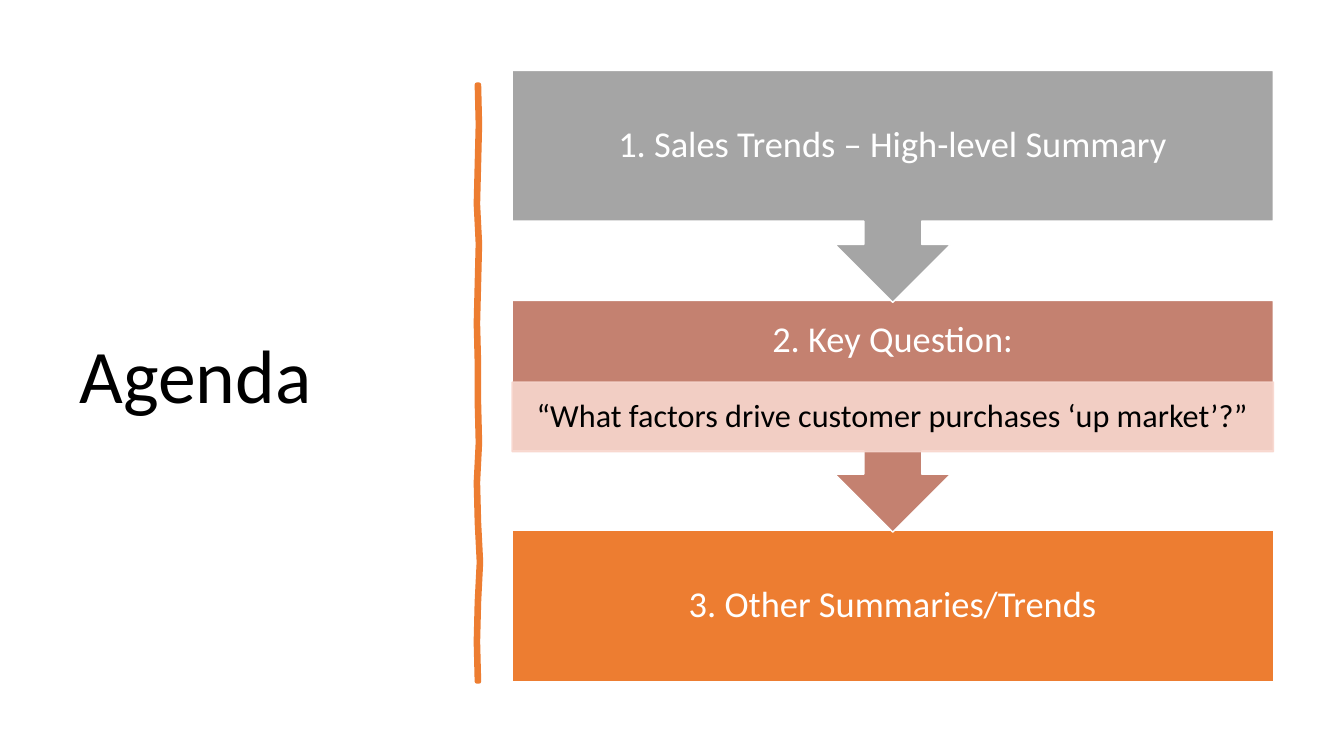
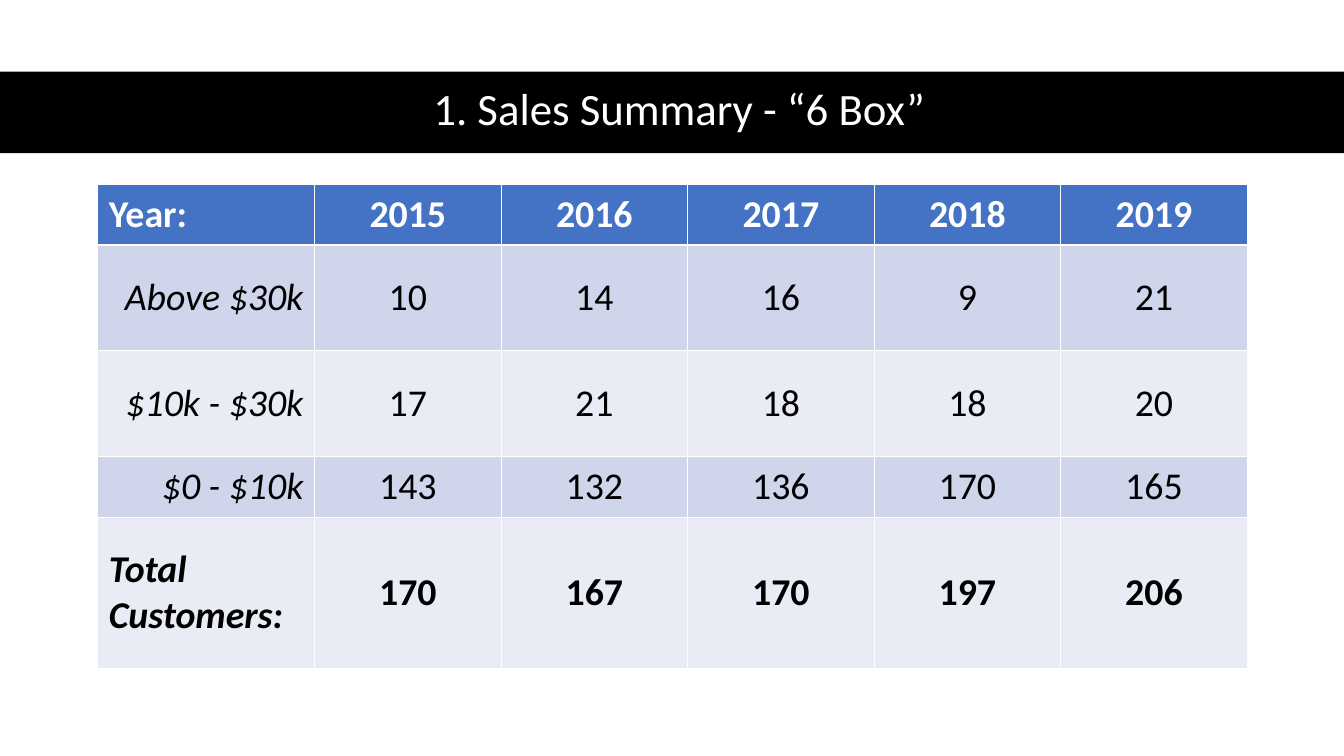
from lxml.etree import SubElement
from pptx import Presentation
from pptx.dml.color import RGBColor
from pptx.enum.shapes import MSO_SHAPE
from pptx.enum.text import MSO_ANCHOR, PP_ALIGN
from pptx.oxml.ns import qn
from pptx.util import Inches, Pt

FONT = "Calibri"
COLORS = {
    "white": "FFFFFF", "black": "000000", "orange": "ED7D31",
    "gray": "A5A5A5", "clay": "C48170", "blush": "F8D7CE",
    "header": "4472C4", "odd": "CFD5EA", "even": "E9EBF5",
}
WIDTH, HEIGHT = 13.33, 7.5


def rgb(name):
    return RGBColor.from_string(COLORS[name])


def write(tf, text, size, color, align=PP_ALIGN.CENTER, spacing=0.9, **style):
    p = tf.paragraphs[0]
    p.alignment, p.line_spacing = align, spacing
    r = p.add_run()
    r.text = text
    formats = {"name": FONT, "size": Pt(size), **style}
    for name, value in formats.items():
        setattr(r.font, name, value)
    r.font.color.rgb = rgb(color)


def set_frame(tf, left=0.1, top=0.05, right=0.1, bottom=0.05):
    tf.word_wrap = True
    tf.vertical_anchor = MSO_ANCHOR.MIDDLE
    margins = {"left": left, "top": top, "right": right, "bottom": bottom}
    for side, value in margins.items():
        setattr(tf, f"margin_{side}", Inches(value))


def set_title(s, box, text, size, color, align):
    title = s.shapes.title
    for name, value in zip(("left", "top", "width", "height"), box):
        setattr(title, name, Inches(value))
    set_frame(title.text_frame)
    write(title.text_frame, text, size, color, align)


def add_block(s, kind, box, fill, line=None, alpha=None):
    sp = s.shapes.add_shape(kind, *map(Inches, box))
    sp.shadow.inherit = False
    sp.fill.solid()
    sp.fill.fore_color.rgb = rgb(fill)
    if line:
        sp.line.color.rgb = rgb(line)
        sp.line.width = Pt(1)
    else:
        sp.line.fill.background()
    if alpha:
        for clr in sp.element.spPr.iter(qn("a:srgbClr")):
            SubElement(clr, qn("a:alpha"), val=str(alpha * 1000))
    return sp


def add_brush_line(s, x, top, height):
    """Hand-drawn vertical stroke: a thin outline with a slight sway."""
    sway = [0, 0.01, 0, -0.01, 0.01, 0, -0.01, 0, 0, 0.01, -0.01, 0, 0.02, 0, -0.01, 0]
    step = height / (len(sway) - 1)
    right = [(x + 0.01 + dx, top + i * step) for i, dx in enumerate(sway)]
    left = [(px - 0.02, py) for px, py in reversed(right)]
    points = [(Inches(px), Inches(py)) for px, py in right + left]
    builder = s.shapes.build_freeform(*points[0])
    builder.add_line_segments(points[1:], close=True)
    sp = builder.convert_to_shape()
    sp.shadow.inherit = False
    sp.fill.solid()
    for fmt in (sp.fill.fore_color, sp.line.color):
        fmt.rgb = rgb("orange")
    sp.line.width = Pt(3.25)


def add_flow(s, left, top, width):
    step, callout_h, last_h = 2.28, 2.3, 1.5
    head_h, detail_h = 0.81, 0.69
    steps = [
        ("1. Sales Trends – High-level Summary", "gray", None),
        ("2. Key Question:", "clay",
         "“What factors drive customer purchases ‘up market’?”"),
        ("3. Other Summaries/Trends", "orange", None),
    ]
    # Bottom step first, so that each arrow tip lies over the next block
    for i, (text, fill, detail) in reversed(list(enumerate(steps))):
        y = top + i * step
        last = i == len(steps) - 1
        kind = MSO_SHAPE.RECTANGLE if last else MSO_SHAPE.DOWN_ARROW_CALLOUT
        height = last_h if last else callout_h
        sp = add_block(s, kind, (left, y, width, height), fill, "white")
        bottom = 0.1 + (detail_h if detail else 0)
        set_frame(sp.text_frame, 0.2, 0.1, 0.2, bottom)
        write(sp.text_frame, text, 26, "white")
        if detail:
            box = (left, y + head_h, width, detail_h)
            sp = add_block(s, MSO_SHAPE.RECTANGLE, box, "blush", "blush", 90)
            set_frame(sp.text_frame, 0.18, 0.03, 0.18, 0.03)
            write(sp.text_frame, detail, 23, "black")


def add_sales_table(s, left, top):
    col_widths = [2.15] + [1.85] * 5
    row_heights = [0.6, 1.05, 1.05, 0.6, 1.5]
    rows = [
        ("Year:", 2015, 2016, 2017, 2018, 2019),
        ("Above $30k", 10, 14, 16, 9, 21),
        ("$10k - $30k", 17, 21, 18, 18, 20),
        ("$0 - $10k", 143, 132, 136, 170, 165),
        ("Total Customers:", 170, 167, 170, 197, 206),
    ]
    size = (sum(col_widths), sum(row_heights))
    table = s.shapes.add_table(len(rows), len(col_widths),
                               *map(Inches, (left, top, *size))).table
    for col, width in zip(table.columns, col_widths):
        col.width = Inches(width)
    for row, height in zip(table.rows, row_heights):
        row.height = Inches(height)

    for i, values in enumerate(rows):
        header = i == 0
        outer = header or i == len(rows) - 1
        fill = "header" if header else ("even", "odd")[i % 2]
        label_align = PP_ALIGN.LEFT if outer else PP_ALIGN.RIGHT
        for j, value in enumerate(values):
            cell = table.cell(i, j)
            cell.fill.solid()
            cell.fill.fore_color.rgb = rgb(fill)
            cell.vertical_anchor = MSO_ANCHOR.MIDDLE
            margins = {"left": 0.11, "top": 0.06, "right": 0.11, "bottom": 0.06}
            for side, margin in margins.items():
                setattr(cell, f"margin_{side}", Inches(margin))
            write(cell.text_frame, str(value), 27,
                  "white" if header else "black",
                  PP_ALIGN.CENTER if j else label_align, 1.0,
                  bold=outer, italic=j == 0 and not header)


def agenda_slide(prs, layout):
    s = prs.slides.add_slide(layout)
    set_title(s, (0.69, 0.7, 3.74, 6.11), "Agenda", 54, "black", PP_ALIGN.LEFT)
    add_brush_line(s, 4.74, 0.84, 5.92)
    add_flow(s, 5.08, 0.7, 7.55)


def summary_slide(prs, layout):
    s = prs.slides.add_slide(layout)
    band = add_block(s, MSO_SHAPE.RECTANGLE, (0, 0.71, WIDTH, 0.81), "black")
    s.shapes.title.element.addprevious(band.element)  # band behind the title
    set_title(s, (0.61, 0.7, 12.26, 0.81), "1. Sales Summary - “6 Box”",
              32, "white", PP_ALIGN.CENTER)
    add_sales_table(s, 0.97, 1.83)


def main():
    prs = Presentation()
    prs.slide_width, prs.slide_height = Inches(WIDTH), Inches(HEIGHT)
    layout = prs.slide_layouts.get_by_name("Title Only")
    agenda_slide(prs, layout)
    summary_slide(prs, layout)
    prs.save("out.pptx")


if __name__ == "__main__":
    main()
